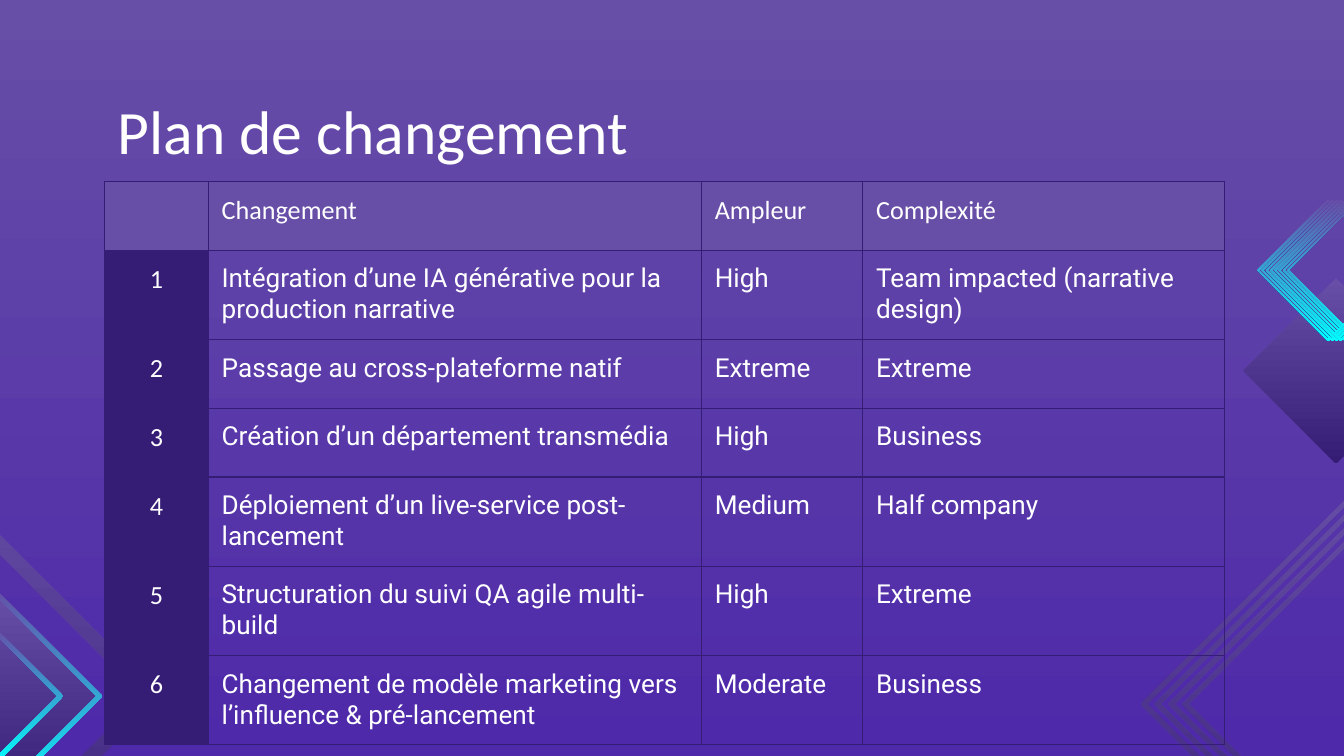
from lxml.etree import SubElement
from pptx import Presentation
from pptx.dml.color import RGBColor
from pptx.enum.text import MSO_ANCHOR as Anchor, PP_ALIGN as Align
from pptx.oxml.ns import qn
from pptx.util import Cm, Pt

INDIGO = RGBColor(0x4E, 0x29, 0xAA)
VIOLET = RGBColor(0x67, 0x4E, 0xA7)
DEEP = RGBColor(0x35, 0x1C, 0x75)
CYAN = RGBColor(0x00, 0xFF, 0xFF)
WHITE = RGBColor(0xFF, 0xFF, 0xFF)

HEADINGS = ["", "Changement", "Ampleur", "Complexité"]
CHANGES = [
    ("Intégration d’une IA générative pour la production narrative",
     "High", "Team impacted (narrative design)"),
    ("Passage au cross-plateforme natif", "Extreme", "Extreme"),
    ("Création d’un département transmédia", "High", "Business"),
    ("Déploiement d’un live-service post-lancement", "Medium", "Half company"),
    ("Structuration du suivi QA agile multi-build", "High", "Extreme"),
    ("Changement de modèle marketing vers l’influence & pré-lancement",
     "Moderate", "Business"),
]


def set_gradient(fill, first, last, angle):
    fill.gradient()
    fill.gradient_angle = angle
    for stop, color in zip(fill.gradient_stops, (first, last)):
        stop.color.rgb = color


def add_diamond(slide, left, top, side, band=0, last=DEEP):
    """Diamond in a square box (cm); a band thickness makes it hollow."""
    radius = side / 2
    x, y = left + radius, top + radius

    def corners(reach):
        return [(Cm(x + dx * reach), Cm(y + dy * reach))
                for dx, dy in ((0, -1), (1, 0), (0, 1), (-1, 0))]

    outer = corners(radius)
    builder = slide.shapes.build_freeform(*outer[0], scale=1.0)
    builder.add_line_segments(outer[1:], close=True)
    if band:
        inner = corners(radius - band)[::-1]
        builder.move_to(*inner[0])
        builder.add_line_segments(inner[1:], close=True)
    diamond = builder.convert_to_shape()
    diamond.shadow.inherit = False
    diamond.line.fill.background()
    set_gradient(diamond.fill, VIOLET, last, 270)


def add_decor(slide, width, height):
    # Large diamonds at both edges
    add_diamond(slide, -6.3, height - 5.8, 9.34, 0.36)
    add_diamond(slide, width - 1.9, 5.26, 3.5)
    # Lower left: filled diamond with two bright outlines
    add_diamond(slide, -2.08, height - 3.11, 3.96)
    for inset in (0, 0.74):
        add_diamond(slide, -2.14 + inset, height - 3.17 + inset,
                    4.08 - 2 * inset, 0.12, CYAN)
    # Right: bright stack of outlines
    for step in (4, 5, 6, 7, 0, 1, 2, 3):
        add_diamond(slide, width - 1.64 + 0.08 * step, 3.77, 2.68, 0.04, CYAN)
    # Lower right: dark stack of outlines
    for step in range(4):
        add_diamond(slide, width - 3.84 + 0.26 * step, height - 5.53, 9.1, 0.12)


def add_text(paragraph, text, size, font="Calibri"):
    run = paragraph.add_run()
    run.text = text
    run.font.size = Pt(size)
    run.font.name = font
    run.font.color.rgb = WHITE


def add_title(slide, left, top, width, height):
    title = slide.shapes.add_textbox(Cm(left), Cm(top), Cm(width), Cm(height))
    frame = title.text_frame
    frame.word_wrap = True
    frame.vertical_anchor = Anchor.TOP
    frame.margin_left = frame.margin_right = Cm(0.25)
    frame.margin_top = frame.margin_bottom = Cm(0.25)
    add_text(frame.paragraphs[0], "Plan de changement", 33)


def set_borders(cell):
    properties = cell._tc.get_or_add_tcPr()
    for side in ("a:lnL", "a:lnR", "a:lnT", "a:lnB"):
        border = SubElement(properties, qn(side), w=str(Pt(0.75)))
        SubElement(SubElement(border, qn("a:solidFill")),
                   qn("a:srgbClr"), val=str(DEEP))


def fill_cell(cell, text, font="Calibri", color=None, align=Align.LEFT):
    cell.margin_left = cell.margin_right = Cm(0.25)
    cell.margin_top = cell.margin_bottom = Cm(0.25)
    set_borders(cell)
    if color is None:
        cell.fill.background()
    else:
        cell.fill.solid()
        cell.fill.fore_color.rgb = color
    if text:
        paragraph = cell.text_frame.paragraphs[0]
        paragraph.alignment = align
        add_text(paragraph, text, 14, font)


def add_change_table(slide, left, top, width, row_height):
    rows = len(CHANGES) + 1
    table = slide.shapes.add_table(
        rows, len(HEADINGS), Cm(left), Cm(top), Cm(width),
        Cm(row_height * rows)).table
    table.first_row = table.horz_banding = False
    shares = (1.96, 9.32, 3.05, 6.83)
    for column, share in zip(table.columns, shares):
        column.width = Cm(width * share / sum(shares))
    # Header row
    for column, heading in enumerate(HEADINGS):
        fill_cell(table.cell(0, column), heading, color=VIOLET)
    # Numbered changes
    for number, change in enumerate(CHANGES, 1):
        fill_cell(table.cell(number, 0), str(number), color=DEEP,
                  align=Align.CENTER)
        for column, text in enumerate(change, 1):
            fill_cell(table.cell(number, column), text, font="Roboto")


def main():
    width, height = 25.4, 14.29
    deck = Presentation()
    deck.slide_width, deck.slide_height = Cm(width), Cm(height)
    slide = deck.slides.add_slide(deck.slide_layouts[6])
    set_gradient(slide.background.fill, INDIGO, VIOLET, 90)
    add_decor(slide, width, height)
    add_title(slide, 1.98, 1.5, 21.44, 1.6)
    add_change_table(slide, 1.98, 3.43, 21.16, 1.3)
    deck.save("out.pptx")


if __name__ == "__main__":
    main()
